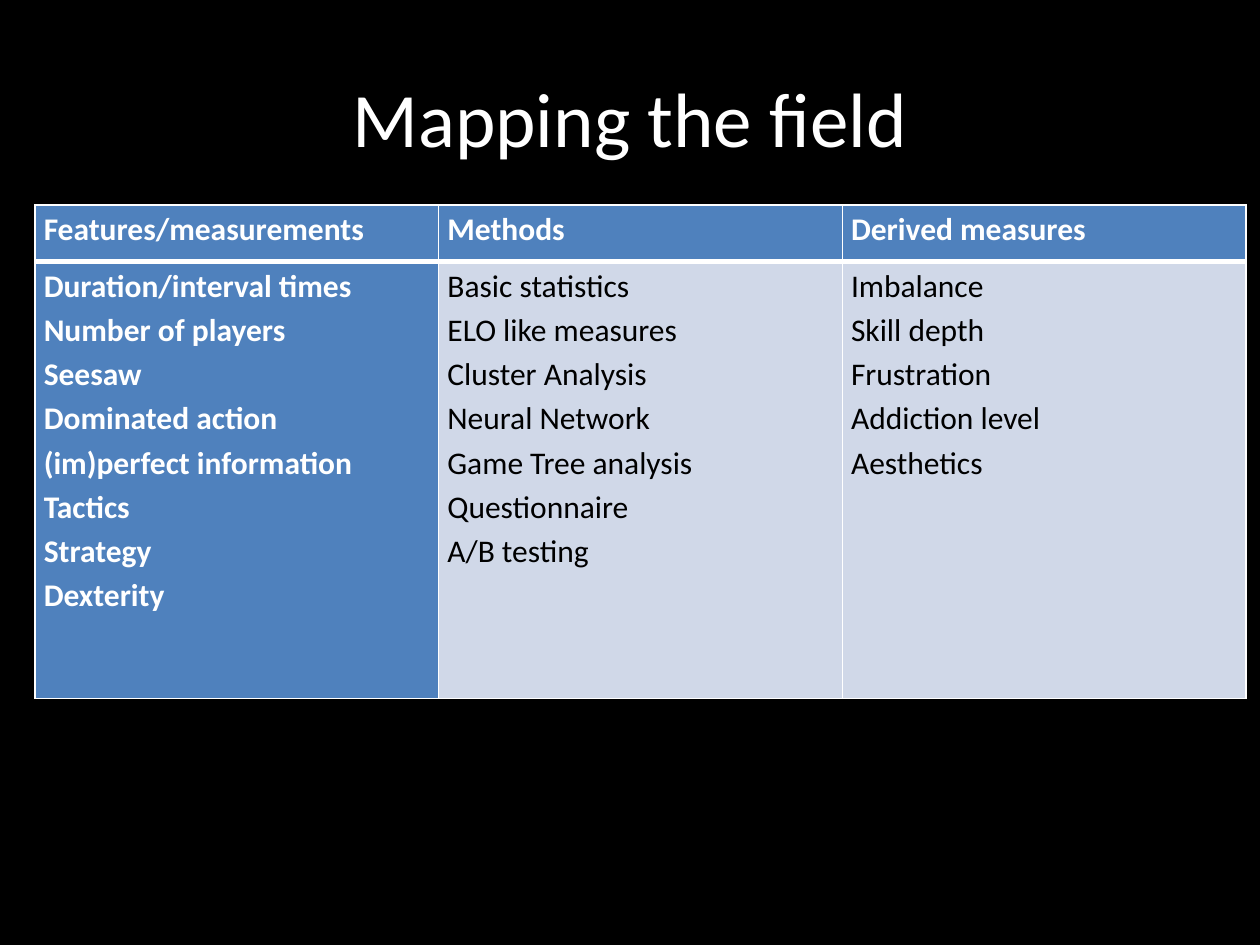
from lxml import etree
from pptx import Presentation
from pptx import util as u
from pptx.dml import color
from pptx.enum import text
from pptx.oxml import ns

COLORS = {"back": "000000", "light": "FFFFFF", "dark": "000000",
          "accent": "4F81BD", "pale": "D0D8E8"}
FONT = "Calibri"
COLUMNS = {
    "Features/measurements": [
        "Duration/interval times", "Number of players", "Seesaw",
        "Dominated action", "(im)perfect information", "Tactics",
        "Strategy", "Dexterity"],
    "Methods": [
        "Basic statistics", "ELO like measures", "Cluster Analysis",
        "Neural Network", "Game Tree analysis", "Questionnaire",
        "A/B testing"],
    "Derived measures": [
        "Imbalance", "Skill depth", "Frustration", "Addiction level",
        "Aesthetics"],
}


def rgb(name):
    """Return the named colour."""
    return color.RGBColor.from_string(COLORS[name])


def add_span(para, words, size, ink, bold=False):
    """Add one formatted run to a paragraph."""
    span = para.add_run()
    span.text = words
    span.font.name = FONT
    span.font.size = u.Pt(size)
    span.font.bold = bold
    span.font.color.rgb = rgb(ink)


def set_borders(cell, bottom):
    """Draw light cell borders, with a given width in points below."""
    props = cell._tc.get_or_add_tcPr()
    widths = {"a:lnL": 1, "a:lnR": 1, "a:lnT": 1, "a:lnB": bottom}
    for place, (tag, width) in enumerate(widths.items()):
        line = etree.Element(ns.qn(tag), w=str(u.Pt(width)))
        fill = etree.SubElement(line, ns.qn("a:solidFill"))
        etree.SubElement(fill, ns.qn("a:srgbClr"), val=COLORS["light"])
        props.insert(place, line)


def fill_cell(cell, lines, back, ink, bold, bottom):
    """Write the lines into a cell and style it."""
    cell.fill.solid()
    cell.fill.fore_color.rgb = rgb(back)
    cell.margin_left = cell.margin_right = u.Pt(5)
    cell.margin_top = cell.margin_bottom = u.Pt(0)
    frame = cell.text_frame
    for number, words in enumerate(lines):
        para = frame.add_paragraph() if number else frame.paragraphs[0]
        para.line_spacing = 1.15
        add_span(para, words, 18, ink, bold)
    set_borders(cell, bottom)


def place_title(page, words, left, top, width, height):
    """Place the centred title in its box."""
    box = page.shapes.title
    box.left, box.top, box.width, box.height = map(
        u.Pt, (left, top, width, height))
    frame = box.text_frame
    frame.vertical_anchor = text.MSO_ANCHOR.MIDDLE
    para = frame.paragraphs[0]
    para.alignment = text.PP_ALIGN.CENTER
    add_span(para, words, 44, "light")


def place_table(page, columns, left, top, width, height, head_height):
    """Place a table with one heading and one list per column."""
    table = page.shapes.add_table(
        2, len(columns), *map(u.Pt, (left, top, width, height))).table
    table.first_col = True
    table.horz_banding = False
    table.rows[0].height = u.Pt(head_height)
    table.rows[1].height = u.Pt(height - head_height)
    for index, (heading, lines) in enumerate(columns.items()):
        table.columns[index].width = u.Pt(width / len(columns))
        first = index == 0
        fill_cell(table.cell(0, index), [heading], "accent", "light", True, 3)
        fill_cell(table.cell(1, index), lines, "accent" if first else "pale",
                  "light" if first else "dark", first, 1)


def main():
    """Build and save the deck."""
    deck = Presentation()
    deck.slide_width, deck.slide_height = u.Pt(720), u.Pt(540)
    page = deck.slides.add_slide(deck.slide_layouts.get_by_name("Title Only"))
    page.background.fill.solid()
    page.background.fill.fore_color.rgb = rgb("back")
    place_title(page, "Mapping the field", 36, 21.6, 648, 90)
    place_table(page, COLUMNS, 20, 117, 692, 282, 32.4)
    deck.save("out.pptx")


if __name__ == "__main__":
    main()
